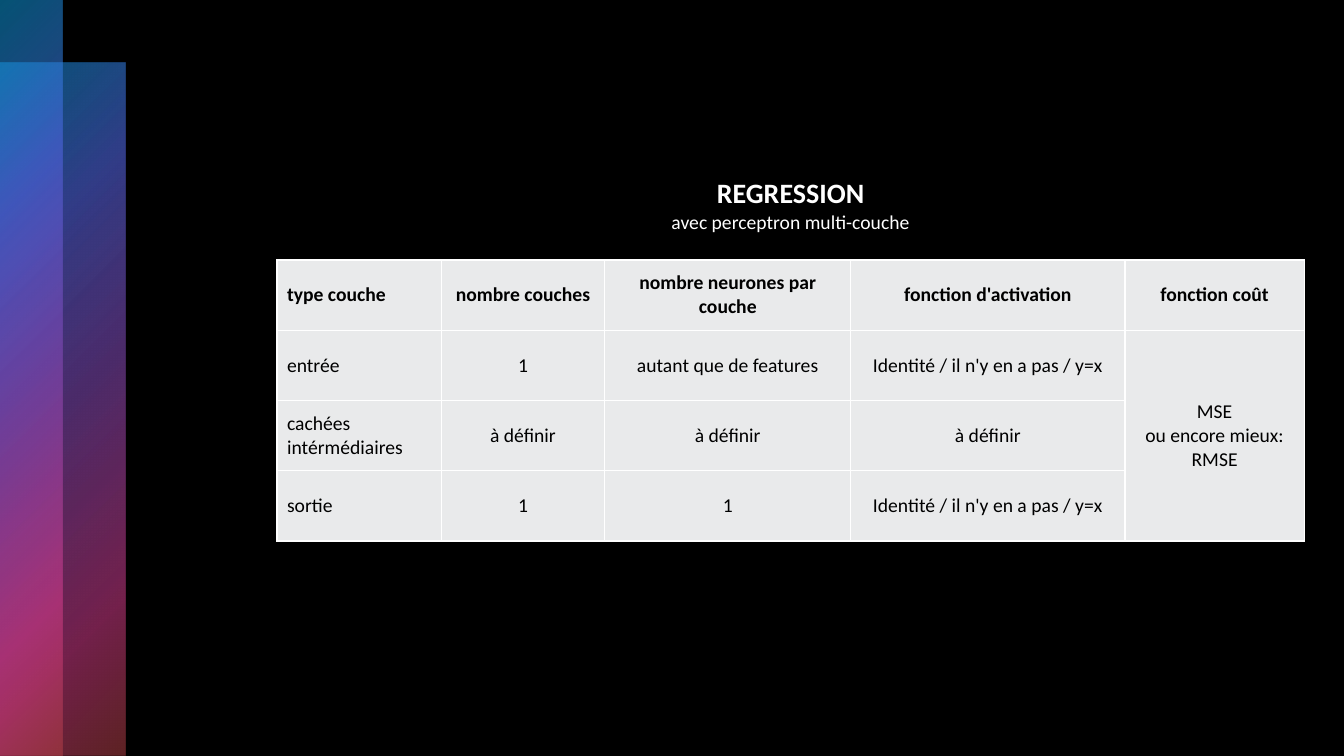
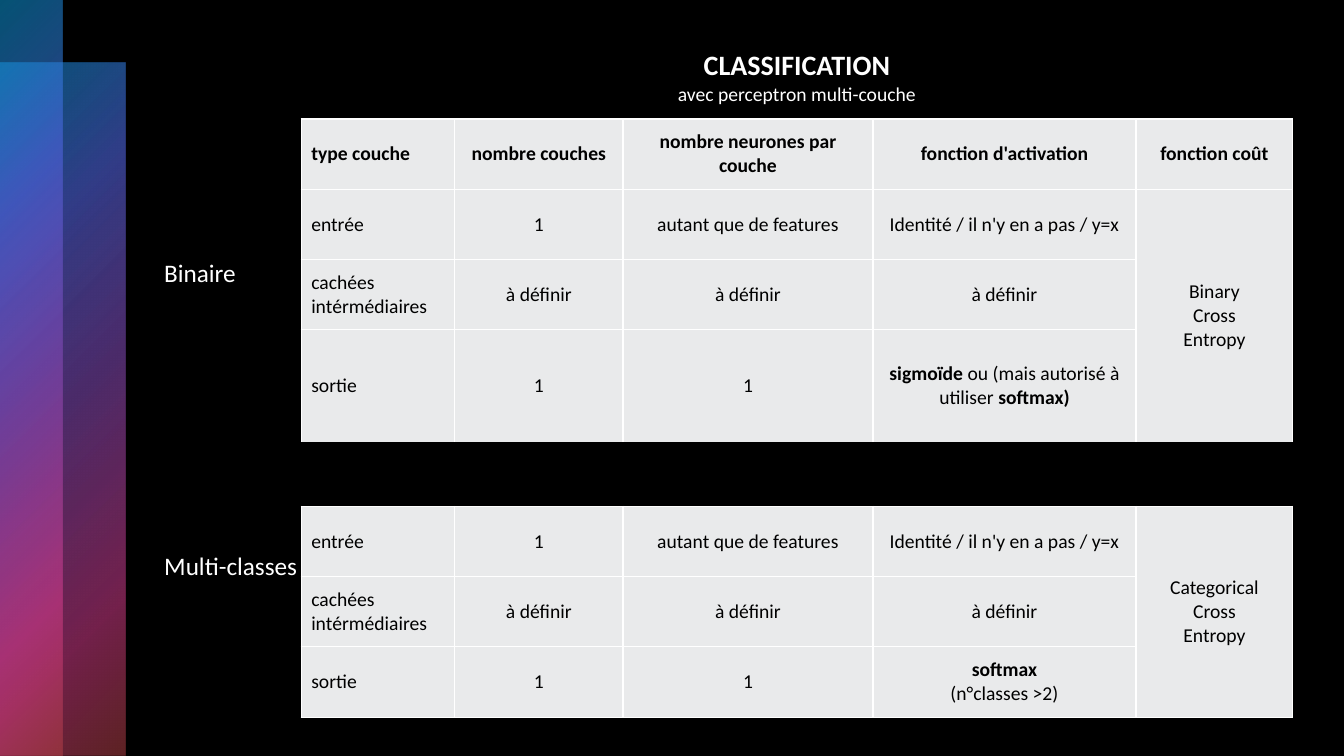
from dataclasses import dataclass
from lxml.etree import SubElement as Sub
from pptx import Presentation as Deck
from pptx.dml.color import RGBColor as Rgb
from pptx.enum.shapes import MSO_SHAPE as Form
from pptx.enum.text import MSO_ANCHOR as Anchor, PP_ALIGN as Align
from pptx.oxml import parse_xml as to_xml
from pptx.oxml.ns import nsdecls as decls, qn
from pptx.util import Cm, Pt


@dataclass(frozen=True)
class Theme:
    font: str = "Calibri"
    black: str = "000000"
    white: str = "FFFFFF"
    grey: str = "E9EAEB"
    head: int = 20
    label: int = 18
    body: int = 14
    line: int = 1
    glow: tuple = (
        (0, "0BA5E8", 50),
        (25, "5066E1", 60),
        (50, "894EC0", 55),
        (81, "E54196", 50),
        (99, "BE4449", 50),
    )


class Maker:
    def __init__(self, theme, wide, high):
        self.theme = theme
        self.high = high
        self.deck = Deck()
        self.deck.slide_width = Cm(wide)
        self.deck.slide_height = Cm(high)
        back = self.deck.slide_master.background.fill
        back.solid()
        back.fore_color.rgb = Rgb.from_string(theme.black)

    def page(self):
        self.slide = self.deck.slides.add_slide(self.deck.slide_layouts[6])
        band = 1.58
        self.glow(0, band, 2 * band, self.high - band)
        self.glow(0, 0, band, self.high)

    def glow(self, left, top, wide, high):
        box = self.slide.shapes.add_shape(
            Form.RECTANGLE, Cm(left), Cm(top), Cm(wide), Cm(high))
        box.shadow.inherit = False
        box.line.fill.background()
        stops = "".join(
            f'<a:gs pos="{pos * 1000}"><a:srgbClr val="{tint}">'
            f'<a:alpha val="{alpha * 1000}"/></a:srgbClr></a:gs>'
            for pos, tint, alpha in self.theme.glow)
        fill = to_xml(
            f'<a:gradFill {decls("a")} rotWithShape="1"><a:gsLst>{stops}</a:gsLst>'
            '<a:path path="circle"><a:fillToRect r="100000" b="100000"/></a:path>'
            '</a:gradFill>')
        box._element.spPr.find(qn("a:prstGeom")).addnext(fill)

    def style(self, para, size, tint, bold=False, align=Align.LEFT):
        para.alignment = align
        font = para.font
        font.name, font.size, font.bold = self.theme.font, Pt(size), bold
        font.color.rgb = Rgb.from_string(tint)

    def label(self, text, left, top, wide, high):
        box = self.slide.shapes.add_textbox(Cm(left), Cm(top), Cm(wide), Cm(high))
        box.text_frame.word_wrap = True
        para = box.text_frame.paragraphs[0]
        para.text = text
        self.style(para, self.theme.label, self.theme.white)

    def edge(self, cell, tint):
        props = cell._tc.get_or_add_tcPr()
        for spot, side in enumerate("LRTB"):
            line = Sub(props, qn(f"a:ln{side}"), w=str(Pt(self.theme.line)))
            if tint:
                Sub(Sub(line, qn("a:solidFill")), qn("a:srgbClr"), val=tint)
            else:
                Sub(line, qn("a:noFill"))
            props.insert(spot, line)

    def paint(self, cell, tint, edge=None):
        cell.fill.solid()
        cell.fill.fore_color.rgb = Rgb.from_string(tint)
        cell.vertical_anchor = Anchor.MIDDLE
        self.edge(cell, edge)

    def entry(self, cell, text, bold, align):
        frame = cell.text_frame
        for num, line in enumerate(text.split("\n")):
            para = frame.add_paragraph() if num else frame.paragraphs[0]
            self.style(para, self.theme.body, self.theme.black, bold, align)
            for odd, part in enumerate(line.split("*")):
                if part:
                    run = para.add_run()
                    run.text = part
                    if odd % 2:
                        run.font.bold = True

    def title(self, cell, text):
        frame = cell.text_frame
        frame.text = text
        top, sub = frame.paragraphs
        self.style(top, self.theme.head, self.theme.white, True, Align.CENTER)
        self.style(sub, self.theme.body, self.theme.white, False, Align.CENTER)

    def table(self, title, rows, left, top, wides, highs):
        grid = self.slide.shapes.add_table(
            len(highs), len(wides), Cm(left), Cm(top),
            Cm(sum(wides)), Cm(sum(highs))).table
        grid.first_row = grid.horz_banding = False
        for col, wide in zip(grid.columns, wides):
            col.width = Cm(wide)
        for row, high in zip(grid.rows, highs):
            row.height = Cm(high)
        last = len(wides) - 1
        for y, row in enumerate([None] + rows):
            for x in range(len(wides)):
                cell = grid.cell(y, x)
                if row is None:
                    self.paint(cell, self.theme.black)
                    continue
                self.paint(cell, self.theme.grey, self.theme.white)
                if row[x]:
                    align = Align.CENTER if x else Align.LEFT
                    self.entry(cell, row[x], y == 1, align)
            if row and row[0] == "entrée":
                grid.cell(y, last).merge(grid.cell(y + 2, last))
        grid.cell(0, 0).merge(grid.cell(0, last))
        self.title(grid.cell(0, 0), title)


SAME = "Identité / il n'y en a pas / y=x"
FREE = "à définir"
SUB = "avec perceptron multi-couche"
HEAD = ["type couche", "nombre couches", "nombre neurones par couche",
        "fonction d'activation", "fonction coût"]


def layers(last, cost):
    return [
        ["entrée", "1", "autant que de features", SAME, cost],
        ["cachées intérmédiaires", FREE, FREE, FREE, ""],
        ["sortie", "1", "1", last, ""],
    ]


ROW = 1.77
make = Maker(Theme(), 33.87, 19.05)

make.page()
make.table(f"REGRESSION\n{SUB}",
           [HEAD] + layers(SAME, "MSE\nou encore mieux:\nRMSE"),
           6.98, 3.83, [4.14, 4.12, 6.2, 6.91, 4.52], [2.72] + [ROW] * 4)

make.page()
two = layers("*sigmoïde *ou (mais autorisé à utiliser\u00a0*softmax)*",
             "Binary\nCross\nEntropy")
many = layers("*softmax*\n(n°classes >2)", "Categorical\nCross\nEntropy")
make.table(f"CLASSIFICATION\n{SUB}", [HEAD] + two + [None] + many,
           7.59, 0.9, [3.87, 4.24, 6.3, 6.63, 3.95],
           [2.1] + [ROW] * 3 + [2.82, 1.63] + [ROW] * 3)
make.label("Binaire", 3.89, 6.35, 3.9, 1.8)
make.label("Multi-classes", 3.89, 13.74, 3.9, 2.57)

make.deck.save("out.pptx")
